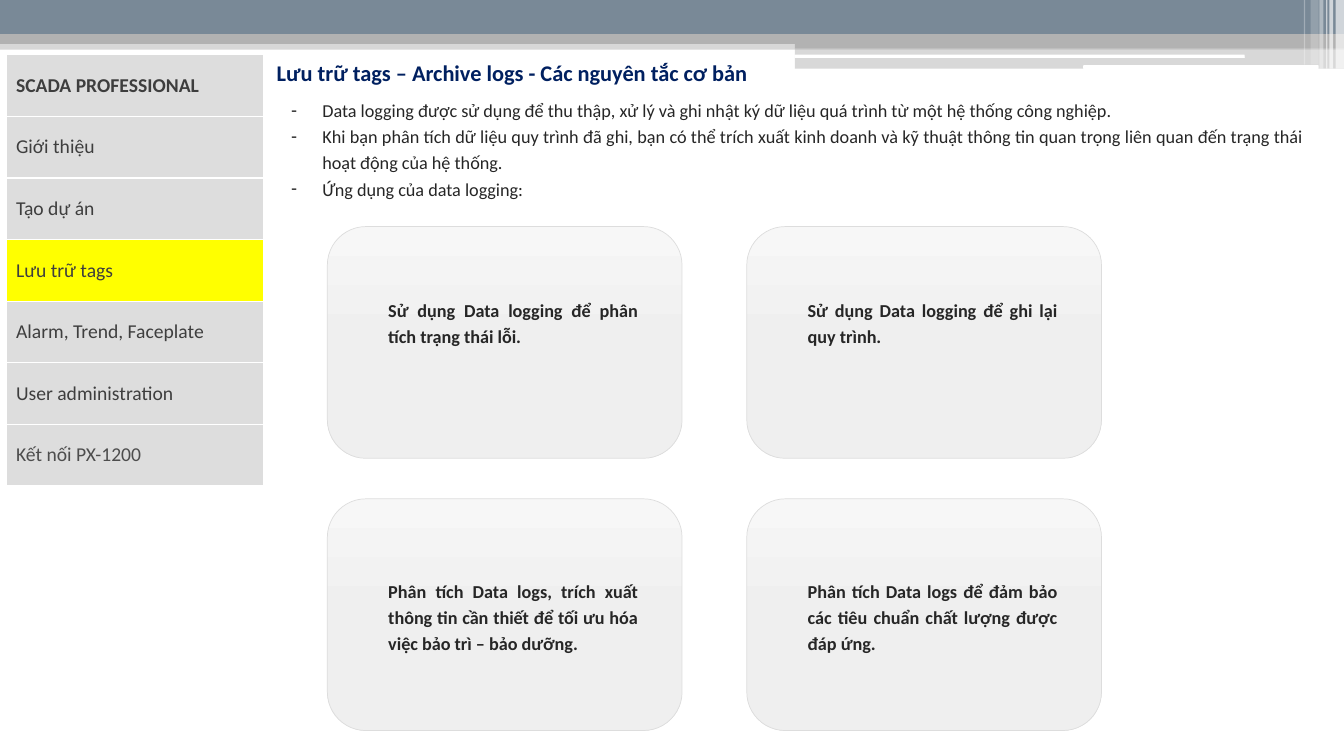
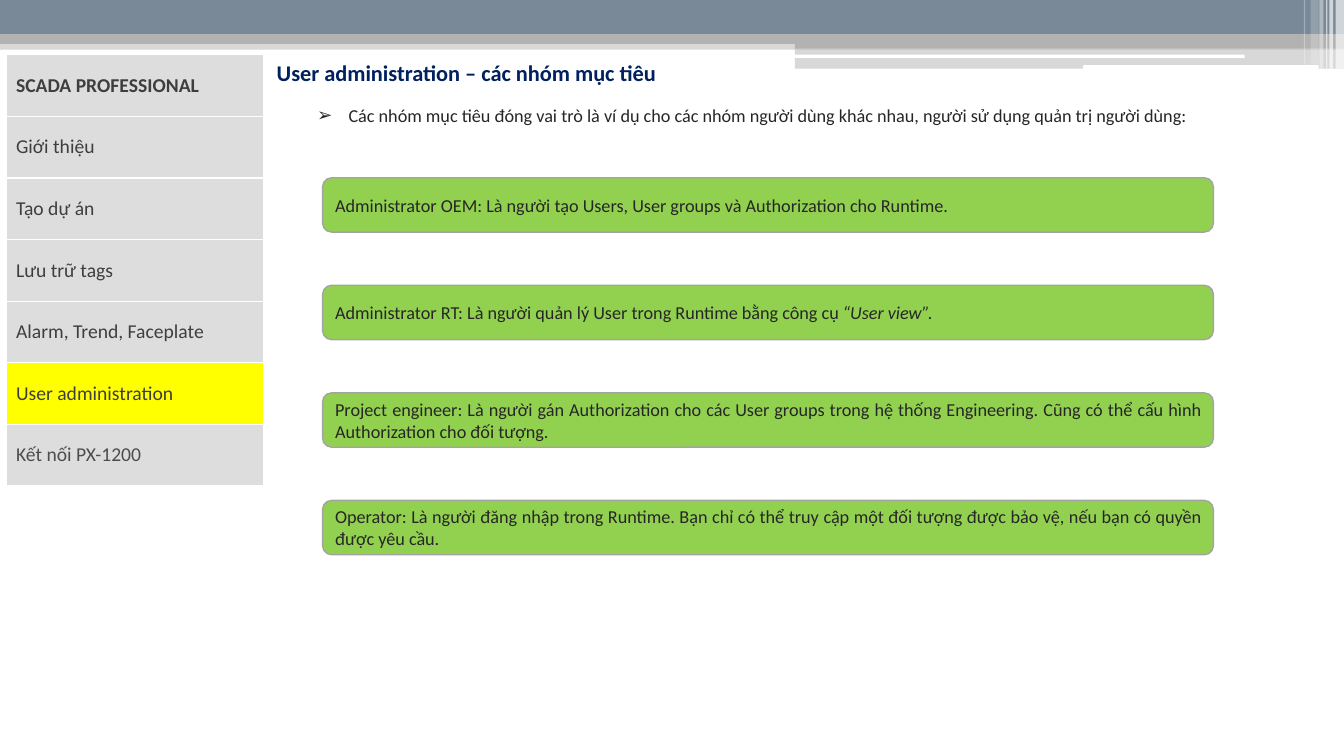
from copy import deepcopy

from lxml import etree
from pptx import Presentation
from pptx.dml import color
from pptx.enum import shapes, text
from pptx.oxml import ns
from pptx.util import Cm, Pt

COLORS = {
    "slate": "798997", "grey": "B2B2B2", "white": "FFFFFF",
    "navy": "002060", "body": "262626", "menu": "3E3E3E", "menu_last": "4D4D4D",
    "cell": "DDDDDD", "current": "FFFF00",
    "card_top": "F7F7F7", "card_middle": "EFEFEF", "card_bottom": "EDEDED",
    "green": "92D050", "bar_line": "A3A3A3",
}
FONT = "Calibri"
WIDTH, HEIGHT = 33.87, 19.05
MENU = ["SCADA PROFESSIONAL", "Giới thiệu", "Tạo dự án", "Lưu trữ tags",
        "Alarm, Trend, Faceplate", "User administration", "Kết nối PX-1200"]

# Header bands: left, top, width, height (cm), colour, opacity in percent
BANDS = [
    (0, 1.02, WIDTH, 0.23, "grey", 50),
    (0, 0, WIDTH, 0.86, "slate", 100),
    (0, 0.86, WIDTH, 0.25, "grey", 100),
    (20.03, 0.98, 13.84, 0.25, "grey", 100),
    (20.03, 1.23, 13.84, 0.5, "grey", 50),
]
WHITE_LINES = [(20.02, 1.38, 11.35, 0.08), (27.3, 1.64, 5.93, 0.1)]
# White stripes at the right edge: left, width, height (cm), opacity
STRIPES = [(33.66, 0.21, 1.73, 65), (33.5, 0.1, 1.73, 65), (33.42, 0.03, 1.73, 60),
           (33.25, 0.1, 1.73, 40), (33.03, 0.2, 1.63, 20), (32.86, 0.03, 1.63, 30)]


def rgb(name):
    return color.RGBColor.from_string(COLORS[name])


def cm_box(box):
    return [Cm(value) for value in box]


def place(shape, box):
    shape.left, shape.top, shape.width, shape.height = cm_box(box)


def style(paragraph, size, color_name, bold=False, justify=False, spacing=1.2):
    paragraph.font.name = FONT
    paragraph.font.size = Pt(size)
    paragraph.font.bold = bold
    paragraph.font.color.rgb = rgb(color_name)
    paragraph.alignment = text.PP_ALIGN.JUSTIFY if justify else text.PP_ALIGN.LEFT
    paragraph.line_spacing = spacing
    paragraph.space_before = Pt(0)


def add_box(slide, box, color_name=None, opacity=100, rounded=False):
    kind = shapes.MSO_SHAPE.ROUNDED_RECTANGLE if rounded else shapes.MSO_SHAPE.RECTANGLE
    shape = slide.shapes.add_shape(kind, *cm_box(box))
    shape.shadow.inherit = False
    shape.line.fill.background()
    if color_name:
        shape.fill.solid()
        shape.fill.fore_color.rgb = rgb(color_name)
    if opacity < 100:
        fill_color = shape.element.find(".//" + ns.qn("a:srgbClr"))
        etree.SubElement(fill_color, ns.qn("a:alpha"), val=str(opacity * 1000))
    return shape


def add_header(slide, layout):
    """Draw the header bands and move them to the shared layout."""
    bands = [add_box(slide, band[:4], *band[4:]) for band in BANDS]
    bands += [add_box(slide, line, "white", rounded=True) for line in WHITE_LINES]
    bands += [add_box(slide, (left, 0, width, height), "white", opacity)
              for left, width, height, opacity in STRIPES]
    for band in bands:
        layout.shapes.element.append(band.element)


def prepare_layout(layout):
    for placeholder in list(layout.placeholders):
        if placeholder.placeholder_format.idx > 1:
            placeholder.element.getparent().remove(placeholder.element)
    place(layout.placeholders[0], (6.72, 1.24, 16.3, 1.02))


def add_title(slide, title):
    frame = slide.shapes.title.text_frame
    frame.text = title
    frame.auto_size = text.MSO_AUTO_SIZE.NONE
    frame.vertical_anchor = text.MSO_ANCHOR.TOP
    style(frame.paragraphs[0], 16, "navy", bold=True)


def add_list(slide, box, items, bullet, margin):
    body = slide.placeholders[1]
    place(body, box)
    frame = body.text_frame
    frame.text = "\n".join(items)
    frame.auto_size = text.MSO_AUTO_SIZE.NONE
    for paragraph in frame.paragraphs:
        properties = paragraph._p.get_or_add_pPr()
        properties.set("marL", str(Cm(margin)))
        properties.set("indent", str(Cm(-0.79)))
        etree.SubElement(properties, ns.qn("a:buChar"), char=bullet)
        style(paragraph, 13, "body", justify=True)


def add_menu(slide, box, current):
    table = slide.shapes.add_table(len(MENU), 1, *cm_box(box)).table
    table.horz_banding = False
    for row, label in enumerate(MENU):
        cell = table.cell(row, 0)
        cell.text = label
        cell.vertical_anchor = text.MSO_ANCHOR.MIDDLE
        cell.fill.solid()
        cell.fill.fore_color.rgb = rgb("current" if label == current else "cell")
        last = row == len(MENU) - 1
        style(cell.text_frame.paragraphs[0], 14, "menu_last" if last else "menu",
              bold=row == 0, spacing=1.0)


def add_card(slide, box, label, text_top):
    card = add_box(slide, box, rounded=True)
    card.line.color.rgb = rgb("cell")
    card.line.width = Pt(0.5)
    # Vertical gradient with a middle stop
    card.fill.gradient()
    card.fill.gradient_angle = 270
    first = card.element.find(".//" + ns.qn("a:gs"))
    first.addnext(deepcopy(first))
    for stop, position, name in zip(card.fill.gradient_stops, (0, 0.5, 1),
                                    ("card_top", "card_middle", "card_bottom")):
        stop.position = position
        stop.color.rgb = rgb(name)
    frame = card.text_frame
    frame.text = label
    frame.vertical_anchor = text.MSO_ANCHOR.TOP
    frame.margin_left, frame.margin_right = Cm(1.25), Cm(0.83)
    frame.margin_top = Cm(text_top)
    style(frame.paragraphs[0], 13, "body", bold=True, justify=True)


def add_card_grid(slide, box, labels):
    left, top, width, height = box
    card_width, card_height = 8.94, 5.84
    for index, label in enumerate(labels):
        row, column = divmod(index, 2)
        card_box = (left + column * (width - card_width),
                    top + row * (height - card_height), card_width, card_height)
        add_card(slide, card_box, label, (1.44, 1.65)[row])


def add_bars(slide, box, items):
    left, top, width, height = box
    bar_height = 1.37
    step = (height - bar_height) / (len(items) - 1)
    for index, (label, italic_end) in enumerate(items):
        bar = add_box(slide, (left, top + index * step, width, bar_height),
                      "green", rounded=True)
        bar.line.color.rgb = rgb("bar_line")
        bar.line.width = Pt(1)
        bar.text_frame.vertical_anchor = text.MSO_ANCHOR.MIDDLE
        paragraph = bar.text_frame.paragraphs[0]
        paragraph.add_run().text = label
        if italic_end:
            run = paragraph.add_run()
            run.text = italic_end
            run.font.italic = True
        style(paragraph, 13, "body", justify=True, spacing=1.0)


def add_page(presentation, title, current):
    slide = presentation.slides.add_slide(presentation.slide_layouts[1])
    add_title(slide, title)
    return slide, lambda: add_menu(slide, (0.15, 1.38, 6.5, 10.87), current)


def build_logging(presentation):
    slide, draw_menu = add_page(
        presentation, "Lưu trữ tags – Archive logs - Các nguyên tắc cơ bản", "Lưu trữ tags")
    add_header(slide, presentation.slide_layouts[1])
    draw_menu()
    add_list(slide, (6.6, 2.26, 26.47, 2.87), [
        "Data logging được sử dụng để thu thập, xử lý và ghi nhật ký dữ liệu quá trình "
        "từ một hệ thống công nghiệp.",
        "Khi bạn phân tích dữ liệu quy trình đã ghi, bạn có thể trích xuất kinh doanh và "
        "kỹ thuật thông tin quan trọng liên quan đến trạng thái hoạt động của hệ thống.",
        "Ứng dụng của data logging:",
    ], "-", 1.27)
    add_card_grid(slide, (8.25, 5.71, 19.51, 12.7), [
        "Sử dụng Data logging để phân tích trạng thái lỗi.",
        "Sử dụng Data logging để ghi lại quy trình.",
        "Phân tích Data logs, trích xuất thông tin cần thiết để tối ưu hóa việc "
        "bảo trì – bảo dưỡng.",
        "Phân tích Data logs để đảm bảo các tiêu chuẩn chất lượng được đáp ứng.",
    ])


def build_users(presentation):
    slide, draw_menu = add_page(
        presentation, "User administration – các nhóm mục tiêu", "User administration")
    draw_menu()
    add_list(slide, (6.63, 2.39, 23.93, 0.89), [
        "Các nhóm mục tiêu đóng vai trò là ví dụ cho các nhóm người dùng khác nhau, "
        "người sử dụng quản trị người dùng:",
    ], "➢", 1.9)
    add_bars(slide, (8.13, 4.48, 22.45, 9.5), [
        ("Administrator OEM: Là người tạo Users, User groups và Authorization "
         "cho Runtime.", None),
        ("Administrator RT: Là người quản lý User trong Runtime bằng công cụ ",
         "“User view”."),
        ("Project engineer: Là người gán Authorization cho các User groups trong hệ thống "
         "Engineering. Cũng có thể cấu hình Authorization cho đối tượng.", None),
        ("Operator: Là người đăng nhập trong Runtime. Bạn chỉ có thể truy cập một đối tượng "
         "được bảo vệ, nếu bạn có quyền được yêu cầu.", None),
    ])


def main():
    presentation = Presentation()
    presentation.slide_width, presentation.slide_height = Cm(WIDTH), Cm(HEIGHT)
    prepare_layout(presentation.slide_layouts[1])
    build_logging(presentation)
    build_users(presentation)
    presentation.save("out.pptx")


if __name__ == "__main__":
    main()
